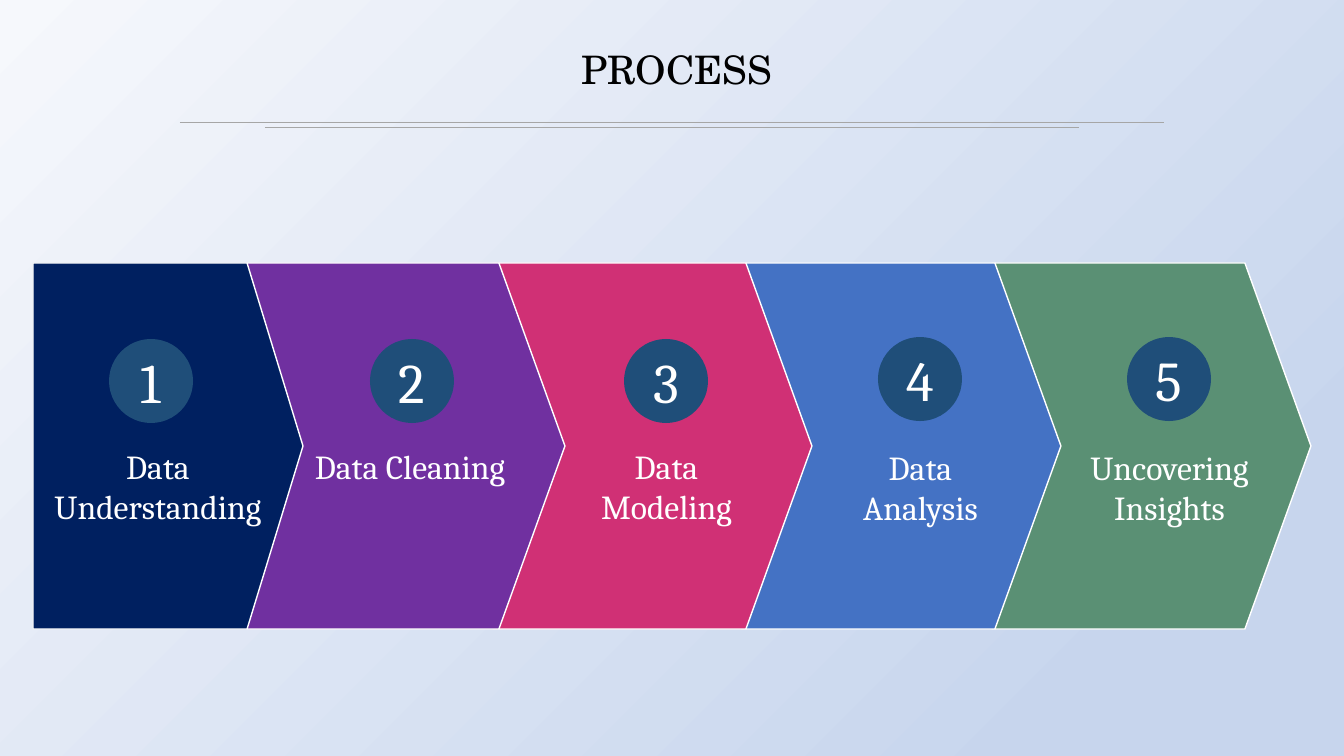
from pptx import Presentation
from pptx.dml.color import RGBColor
from pptx.enum.shapes import MSO_CONNECTOR, MSO_SHAPE
from pptx.enum.text import MSO_ANCHOR, PP_ALIGN
from pptx.oxml.ns import qn
from pptx.util import Pt
from lxml import etree

PX = 914400 / 100.8
SLIDE_W, SLIDE_H = 1344, 756
BODY_FONT, TITLE_FONT = "Cambria", "TeX Gyre Schola"
BADGE = 84

# number, label, colour, arrow x and width, badge x and y, label x, y and width
# (x from the process box, badge and label y from its top)
STAGES = [
    ("1", "Data Understanding", "002060", 0, 270, 76, 76, 9, 183, 232),
    ("2", "Data Cleaning", "7030A0", 213, 319, 337, 76, 279, 183, 196),
    ("3", "Data Modeling", "D03075", 460, 319, 591, 76, 546, 183, 175),
    ("4", "Data Analysis", "4472C4", 709, 319, 845, 74, 800, 184, 175),
    ("5", "Uncovering Insights", "5A9074", 959, 319, 1094, 74, 1049, 184, 175),
]


def px(*lengths):
    return [round(n * PX) for n in lengths]


def rgb(value):
    return RGBColor.from_string(value)


def add_shape(slide, kind, box, fill=None, line=None):
    s = slide.shapes.add_shape(kind, *px(*box))
    s.shadow.inherit = False
    if fill:
        s.fill.solid()
        s.fill.fore_color.rgb = rgb(fill)
    if line:
        s.line.color.rgb = rgb(line)
        s.line.width = Pt(1)
    else:
        s.line.fill.background()
    return s


def write(s, text, size, color, font=BODY_FONT):
    tf = s.text_frame
    tf.word_wrap = True
    p = tf.paragraphs[0]
    p.text = text
    p.alignment = PP_ALIGN.CENTER
    p.font.size = Pt(size)
    p.font.name = font
    p.font.color.rgb = rgb(color)
    return tf


def add_background(slide, box):
    s = add_shape(slide, MSO_SHAPE.RECTANGLE, box)
    s.fill.gradient()
    for stop, position, color in zip(s.fill.gradient_stops, (0.15, 1), ("C7D5ED", "F6F8FC")):
        stop.position = position
        stop.color.rgb = rgb(color)
    # Radial gradient spreading from the bottom right corner
    grad = s._element.spPr.find(qn("a:gradFill"))
    grad.remove(grad.find(qn("a:lin")))
    radial = etree.SubElement(grad, qn("a:path"), path="circle")
    etree.SubElement(radial, qn("a:fillToRect"), l="100000", t="100000")


def add_header(slide, box):
    x, y, w, h = box
    # Title
    s = slide.shapes.add_textbox(*px(x, y, w, h))
    write(s, "PROCESS", 28, "000000", TITLE_FONT)
    # Double rule, centred on the slide
    for rule_y, rule_w in ((y + 82, 984), (y + 87, 814)):
        left = (SLIDE_W - rule_w) / 2
        c = slide.shapes.add_connector(
            MSO_CONNECTOR.STRAIGHT, *px(left, rule_y, left + rule_w, rule_y))
        c.line.color.rgb = rgb("A6A6A6")
        c.line.width = Pt(0.5)
        etree.SubElement(c._element.spPr, qn("a:effectLst"))


def add_process(slide, box):
    x, y, _, h = box
    # Right to left, so that each arrow overlaps the next one
    for (number, label, color, arrow_x, arrow_w, badge_x, badge_y,
         label_x, label_y, label_w) in reversed(STAGES):
        arrow = add_shape(slide, MSO_SHAPE.PENTAGON, (x + arrow_x, y, arrow_w, h),
                          color, "FFFFFF")
        arrow.adjustments[0] = 0.207 if arrow_w < h else 0.2

        badge = add_shape(slide, MSO_SHAPE.OVAL,
                          (x + badge_x, y + badge_y, BADGE, BADGE), "1F4E79")
        write(badge, number, 40, "FFFFFF").vertical_anchor = MSO_ANCHOR.MIDDLE

        s = slide.shapes.add_textbox(*px(x + label_x, y + label_y, label_w, 82))
        tf = write(s, label, 24, "FFFFFF")
        tf.margin_left = tf.margin_right = tf.margin_top = tf.margin_bottom = 0


def main():
    prs = Presentation()
    prs.slide_width, prs.slide_height = px(SLIDE_W, SLIDE_H)
    slide = prs.slides.add_slide(prs.slide_layouts[6])
    add_background(slide, (0, 0, SLIDE_W, SLIDE_H))
    add_header(slide, (10, 40, SLIDE_W - 10, 57))
    add_process(slide, (33, 263, 1278, 366))
    prs.save("out.pptx")


if __name__ == "__main__":
    main()
